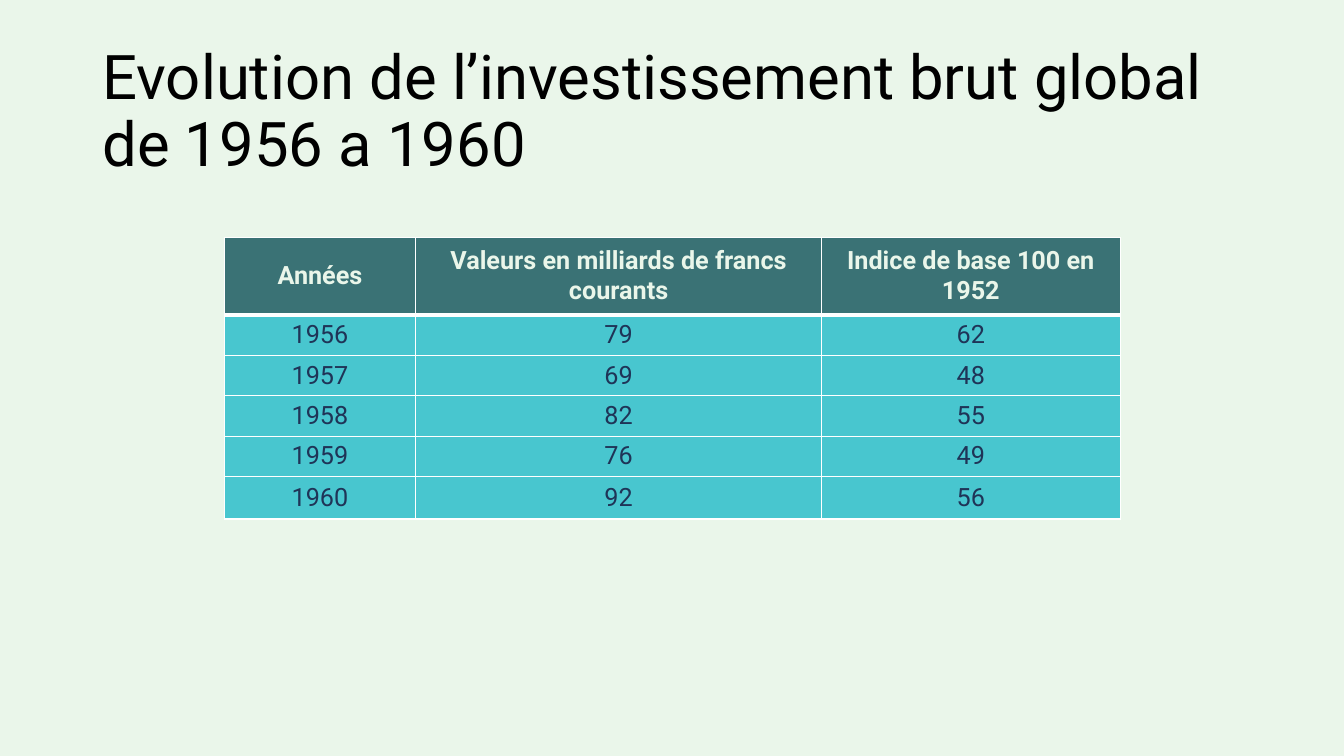
from lxml import etree
from pptx import Presentation
from pptx.dml.color import RGBColor
from pptx.enum.text import MSO_ANCHOR, PP_ALIGN
from pptx.oxml.ns import qn
from pptx.util import Cm, Pt

# Content
TITLE = "Evolution de l’investissement brut global de 1956 a 1960"
HEADINGS = ("Années", "Valeurs en milliards de francs courants", "Indice de base 100 en 1952")
INVESTMENT = [
    (1956, 79, 62),
    (1957, 69, 48),
    (1958, 82, 55),
    (1959, 76, 49),
    (1960, 92, 56),
]

# Style
FONT = "Roboto"
PALE_GREEN = RGBColor(0xEA, 0xF6, 0xEA)
DARK_TEAL = RGBColor(0x3A, 0x72, 0x75)
TURQUOISE = RGBColor(0x48, 0xC6, 0xCF)
NAVY = RGBColor(0x1F, 0x34, 0x57)
BLACK = RGBColor(0, 0, 0)
WHITE = RGBColor(0xFF, 0xFF, 0xFF)
MIDDLE = MSO_ANCHOR.MIDDLE
CENTER = PP_ALIGN.CENTER

# Layout
COLUMN_WIDTHS = [Cm(4.83), Cm(10.22), Cm(7.53)]
ROW_HEIGHTS = [Cm(1.96)] + [Cm(1)] * 4 + [Cm(1.07)]


def set_borders(cell, widths):
    """Draw white cell borders; widths maps a side's tag to points."""
    properties = cell._tc.get_or_add_tcPr()
    for position, (side, width) in enumerate(widths.items()):
        line = etree.Element(qn(f"a:{side}"), w=str(Pt(width)))
        fill = etree.SubElement(line, qn("a:solidFill"))
        etree.SubElement(fill, qn("a:srgbClr"), val=str(WHITE))
        properties.insert(position, line)


prs = Presentation()
prs.slide_width, prs.slide_height = Cm(33.87), Cm(19.05)
slide = prs.slides.add_slide(prs.slide_layouts[6])
slide.background.fill.solid()
slide.background.fill.fore_color.rgb = PALE_GREEN

# Title
title = slide.shapes.add_textbox(Cm(2.33), Cm(1.01), Cm(29.21), Cm(3.68)).text_frame
title.word_wrap = True
title.vertical_anchor = MIDDLE
heading = title.paragraphs[0]
heading.text = TITLE
heading.line_spacing = 0.9
heading.font.name = FONT
heading.font.size = Pt(44)
heading.font.color.rgb = BLACK

# Investment table
rows = [HEADINGS] + INVESTMENT
table = slide.shapes.add_table(
    len(rows), len(HEADINGS), Cm(5.65), Cm(5.98), sum(COLUMN_WIDTHS), sum(ROW_HEIGHTS)
).table
for column, width in zip(table.columns, COLUMN_WIDTHS):
    column.width = width
for row, height in zip(table.rows, ROW_HEIGHTS):
    row.height = height

for r, values in enumerate(rows):
    is_header = r == 0
    for c, value in enumerate(values):
        cell = table.cell(r, c)
        cell.vertical_anchor = MIDDLE
        cell.fill.solid()
        cell.fill.fore_color.rgb = DARK_TEAL if is_header else TURQUOISE
        set_borders(cell, {"lnL": 1, "lnR": 1, "lnT": 3 if r == 1 else 1, "lnB": 3 if is_header else 1})
        entry = cell.text_frame.paragraphs[0]
        entry.text = str(value)
        entry.alignment = CENTER
        entry.font.name = FONT
        entry.font.size = Pt(18)
        entry.font.bold = is_header
        entry.font.color.rgb = PALE_GREEN if is_header else NAVY

prs.save("out.pptx")
